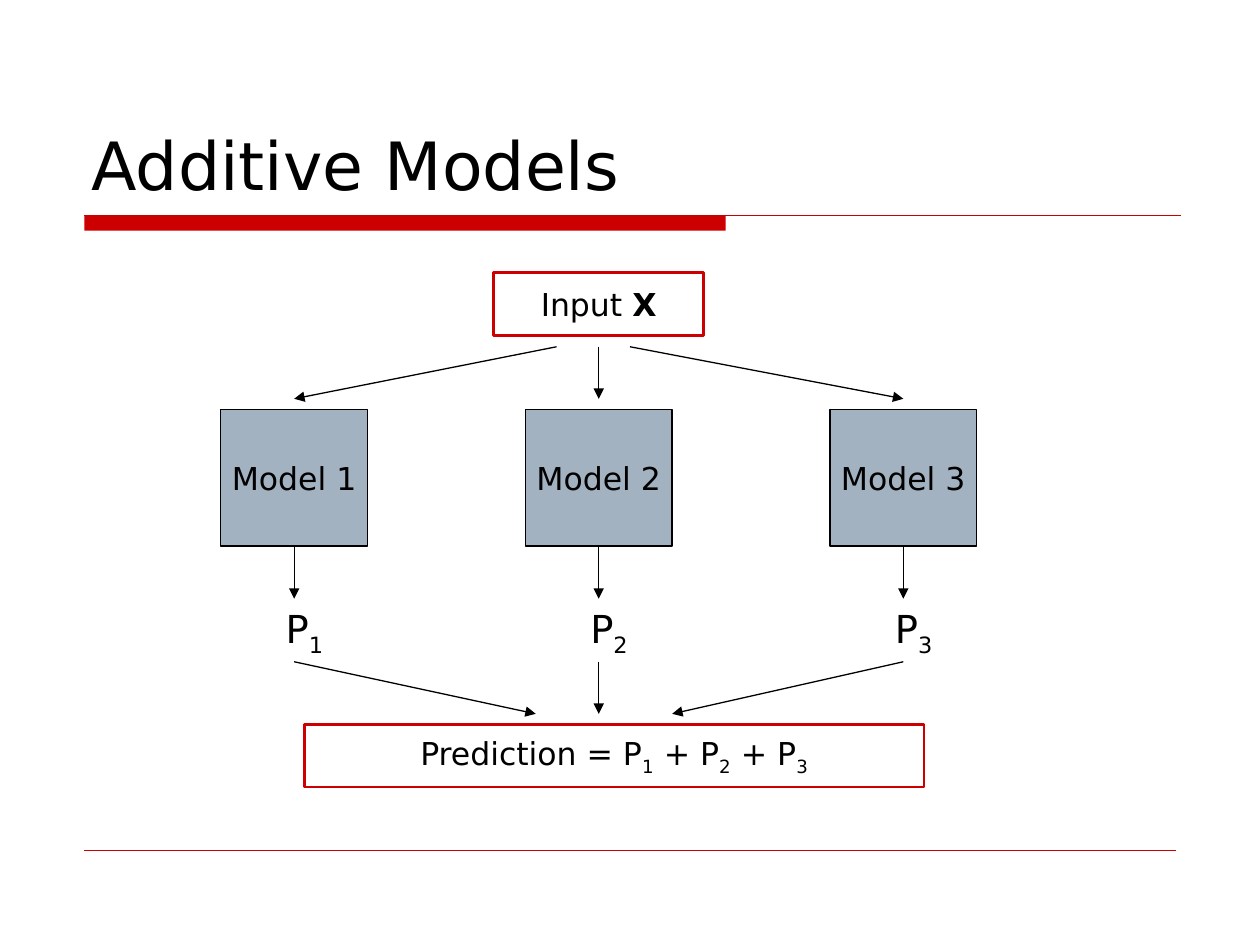
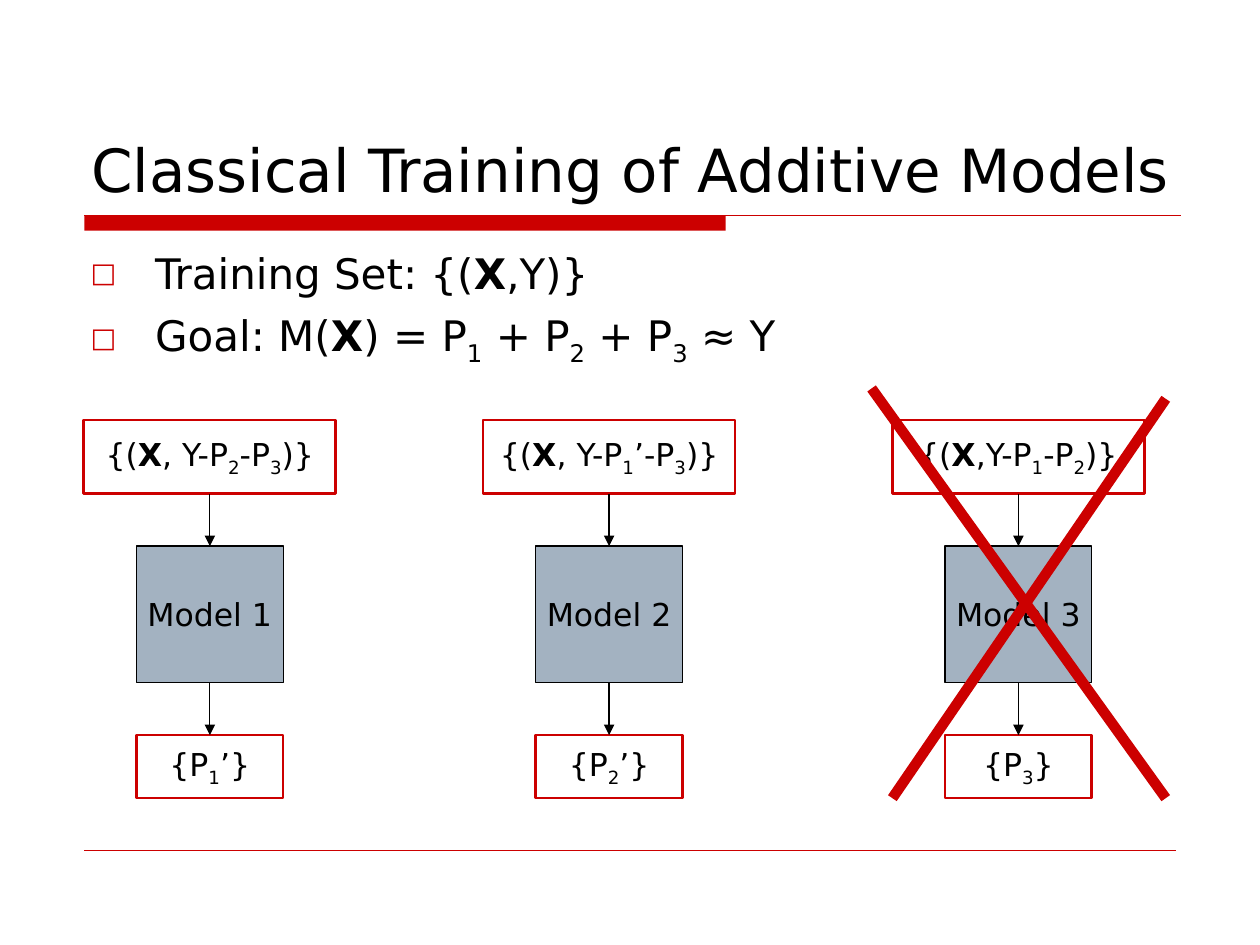
from dataclasses import dataclass

from lxml import etree
from pptx import Presentation
from pptx.dml.color import RGBColor
from pptx.enum import shapes as sh, text as tx
from pptx.oxml import ns
from pptx.util import Cm, Pt


@dataclass(frozen=True)
class Theme:
    font: str = "DejaVu Sans"
    ink: RGBColor = RGBColor(0x00, 0x00, 0x00)
    paper: RGBColor = RGBColor(0xFF, 0xFF, 0xFF)
    accent: RGBColor = RGBColor(0xCC, 0x00, 0x00)
    model: RGBColor = RGBColor(0xA3, 0xB2, 0xC1)
    title: float = 38
    long_title: float = 34
    bullet: float = 24
    symbol: float = 22
    label: float = 18
    hairline: float = 0.25
    thin: float = 0.75
    frame: float = 1.5
    cross: float = 6


THEME = Theme()
MODEL_WIDTH, MODEL_HEIGHT = 2.96, 2.75
FRAME_HEIGHT = 1.27


def add_xml(parent, tag, **attributes):
    return etree.SubElement(parent, ns.qn(tag), attributes)


def style_run(run, size):
    run.font.name = THEME.font
    run.font.size = Pt(size)
    run.font.color.rgb = THEME.ink


def write_formula(paragraph, formula, size):
    """Write text in which * makes the next character bold and _ a subscript."""
    pieces = [("", "")]
    marker = ""
    for char in formula:
        if char in "*_":
            marker = char
        elif marker or pieces[-1][0]:
            pieces.append((marker, char))
            marker = ""
        else:
            pieces[-1] = ("", pieces[-1][1] + char)
    for marker, piece in pieces:
        run = paragraph.add_run()
        run.text = piece
        style_run(run, size)
        if marker == "*":
            run.font.bold = True
        elif marker == "_":
            run.font._element.set("baseline", "-25000")


def add_box(slide, center, top, width, height, formula, fill, outline, weight):
    box = slide.shapes.add_shape(sh.MSO_SHAPE.RECTANGLE, Cm(center - width / 2),
                                 Cm(top), Cm(width), Cm(height))
    box.shadow.inherit = False
    box.fill.solid()
    box.fill.fore_color.rgb = fill
    box.line.color.rgb = outline
    box.line.width = Pt(weight)
    frame = box.text_frame
    frame.word_wrap = False
    frame.vertical_anchor = tx.MSO_ANCHOR.MIDDLE
    frame.paragraphs[0].alignment = tx.PP_ALIGN.CENTER
    write_formula(frame.paragraphs[0], formula, THEME.label)
    return box


def add_model(slide, center, top, number):
    return add_box(slide, center, top, MODEL_WIDTH, MODEL_HEIGHT,
                   f"Model {number}", THEME.model, THEME.ink, THEME.thin)


def add_framed(slide, center, top, width, formula, height=FRAME_HEIGHT):
    return add_box(slide, center, top, width, height, formula,
                   THEME.paper, THEME.accent, THEME.frame)


def add_line(slide, start, end, color, weight, arrow=False):
    line = slide.shapes.add_connector(sh.MSO_CONNECTOR.STRAIGHT,
                                      *map(Cm, (*start, *end)))
    line.line.color.rgb = color
    line.line.width = Pt(weight)
    if arrow:
        add_xml(line.line._get_or_add_ln(), "a:tailEnd", type="triangle")
    add_xml(line._element.spPr, "a:effectLst")
    return line


def add_arrow(slide, start, end):
    return add_line(slide, start, end, THEME.ink, THEME.thin, arrow=True)


def join_down(slide, upper, lower):
    """Point an arrow from the bottom of one box to the top of the next."""
    center = (upper.left + upper.width / 2) / Cm(1)
    arrow = add_arrow(slide, (center, (upper.top + upper.height) / Cm(1)),
                      (center, lower.top / Cm(1)))
    arrow.begin_connect(upper, 2)
    arrow.end_connect(lower, 0)


def add_symbol(slide, center, top, formula):
    symbol = slide.shapes.add_textbox(Cm(center - 0.42), Cm(top), Cm(1.7), Cm(1.32))
    symbol.text_frame.word_wrap = True
    write_formula(symbol.text_frame.paragraphs[0], formula, THEME.symbol)


def add_bullets(slide, formulas):
    frame = slide.shapes.add_textbox(Cm(1.58), Cm(4.87), Cm(22.22), Cm(2.75)).text_frame
    frame.word_wrap = True
    for index, formula in enumerate(formulas):
        paragraph = frame.add_paragraph() if index else frame.paragraphs[0]
        paragraph.space_before = Pt(6.5)
        properties = paragraph._p.get_or_add_pPr()
        properties.set("marL", str(Cm(1.3)))
        properties.set("indent", str(-Cm(1.3)))
        color = add_xml(properties, "a:buClr")
        add_xml(color, "a:srgbClr", val=str(THEME.accent))
        add_xml(properties, "a:buSzPct", val="65000")
        add_xml(properties, "a:buFont", typeface=THEME.font)
        add_xml(properties, "a:buChar", char="□")
        write_formula(paragraph, formula, THEME.bullet)


def add_titled_slide(deck, heading, size, title_width):
    slide = deck.slides.add_slide(deck.slide_layouts[5])
    band = slide.shapes.add_shape(sh.MSO_SHAPE.RECTANGLE,
                                  Cm(1.7), Cm(4.34), Cm(12.93), Cm(0.31))
    band.shadow.inherit = False
    band.fill.solid()
    band.fill.fore_color.rgb = THEME.accent
    band.line.fill.background()
    add_line(slide, (1.7, 4.34), (23.8, 4.34), THEME.accent, THEME.thin)
    add_line(slide, (1.7, 17.15), (23.71, 17.15), THEME.accent, THEME.hairline)

    title = slide.shapes.title
    title.left, title.top = Cm(1.59), Cm(0.85)
    title.width, title.height = Cm(title_width), Cm(3.39)
    frame = title.text_frame
    frame.text = heading
    frame.auto_size = tx.MSO_AUTO_SIZE.NONE
    frame.vertical_anchor = tx.MSO_ANCHOR.BOTTOM
    frame.paragraphs[0].alignment = tx.PP_ALIGN.LEFT
    style_run(frame.paragraphs[0].runs[0], size)
    return slide


def build_additive_models(deck):
    slide = add_titled_slide(deck, "Additive Models", THEME.title, 22.23)
    middle, pitch = 12.07, 6.14
    model_top, symbol_top = 8.26, 12.07
    input_exits = (11.22, middle, 12.7)
    sum_entries = (10.8, middle, 13.55)

    for number, (leave, enter) in enumerate(zip(input_exits, sum_entries), 1):
        center = middle + (number - 2) * pitch
        model = add_model(slide, center, model_top, number)
        add_arrow(slide, (leave, 6.99), (center, 8.04))
        output = add_arrow(slide, (center, model_top + MODEL_HEIGHT),
                           (center, symbol_top))
        output.begin_connect(model, 2)
        add_symbol(slide, center, symbol_top, f"P_{number}")
        add_arrow(slide, (center, 13.34), (enter, 14.39))

    add_framed(slide, middle, 5.5, 4.23, "Input *X")
    add_framed(slide, 12.38, 14.6, 12.49, "Prediction = P_1 + P_2 + P_3")


def build_classical_training(deck):
    slide = add_titled_slide(deck, "Classical Training of Additive Models",
                             THEME.long_title, 22.76)
    add_bullets(slide, ("Training Set: {(*X,Y)}",
                        "Goal: M(*X) = P_1 + P_2 + P_3 ≈ Y"))
    stages = (
        (4.23, "{(*X, Y-P_2-P_3)}", "{P_1’}"),
        (12.28, "{(*X, Y-P_1’-P_3)}", "{P_2’}"),
        (20.53, "{(*X,Y-P_1-P_2)}", "{P_3}"),
    )
    for number, (center, residual, prediction) in enumerate(stages, 1):
        targets = add_framed(slide, center, 8.47, 5.08, residual, height=1.48)
        model = add_model(slide, center, 11.01, number)
        output = add_framed(slide, center, 14.82, MODEL_WIDTH, prediction)
        join_down(slide, targets, model)
        join_down(slide, model, output)

    for start, end in (((23.5, 8.04), (17.99, 16.09)), ((17.57, 7.83), (23.5, 16.09))):
        add_line(slide, start, end, THEME.accent, THEME.cross)


def main():
    deck = Presentation()
    deck.slide_width, deck.slide_height = Cm(25.4), Cm(19.05)
    build_additive_models(deck)
    build_classical_training(deck)
    deck.save("out.pptx")


if __name__ == "__main__":
    main()
